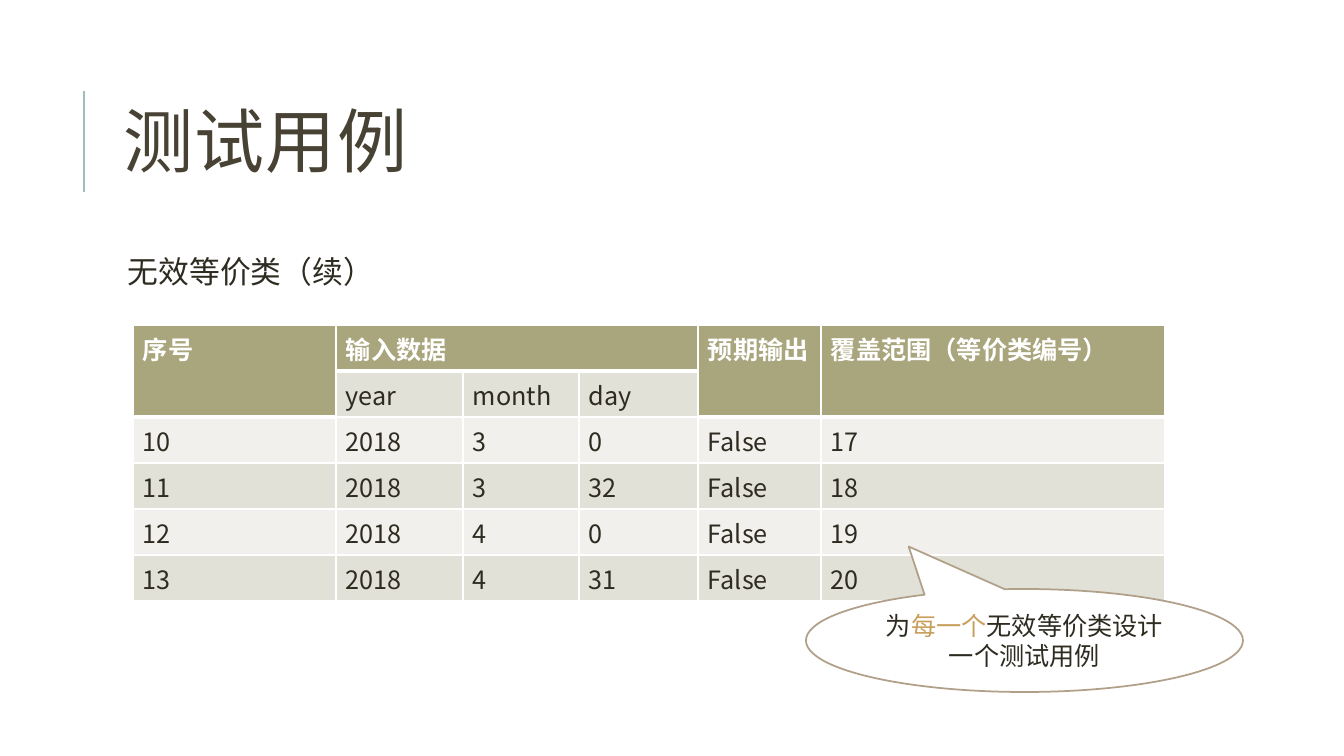
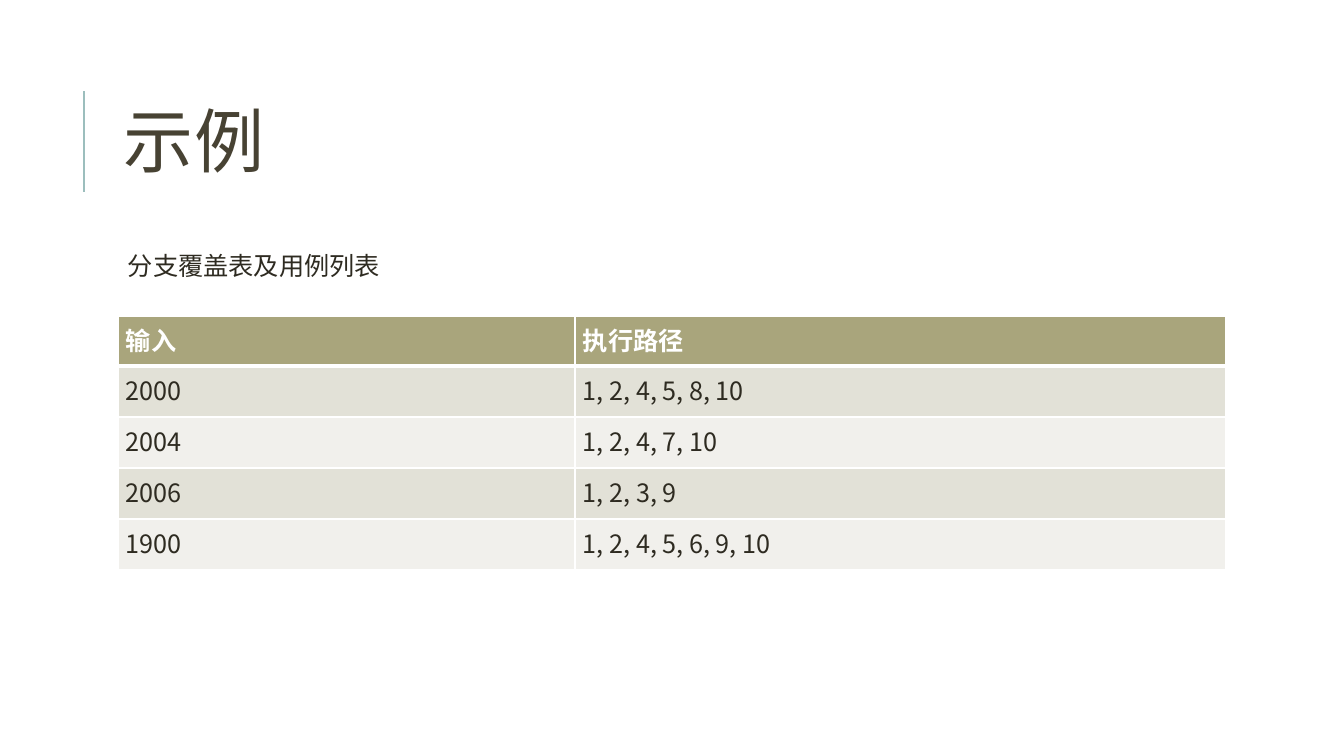
"""Builds two slides on software test cases, each with a title, a subheading and a table."""
from lxml.etree import SubElement
from pptx import Presentation
from pptx.dml.color import RGBColor
from pptx.enum.shapes import MSO_CONNECTOR, MSO_SHAPE
from pptx.enum.text import MSO_ANCHOR, MSO_AUTO_SIZE, PP_ALIGN
from pptx.oxml import parse_xml
from pptx.oxml.ns import nsdecls, qn
from pptx.util import Pt

FONT = "Noto Sans CJK SC"
COLORS = {
    "title": "474233", "text": "2E2B21", "white": "FFFFFF", "rule": "9CBEBD",
    "head": "A9A57C", "dark_band": "E2E1D7", "light_band": "F1F0EC",
    "callout": "B1A089", "emphasis": "C89F5D",
}
RGB = {name: RGBColor.from_string(value) for name, value in COLORS.items()}


def px(*lengths):
    return [round(length * 914400 / 100.8) for length in lengths]


def style(paragraph, size, color, bold=False):
    font = paragraph.font
    font.name, font.size, font.bold = FONT, Pt(size), bold
    font.color.rgb = RGB[color]
    SubElement(font._element, qn("a:ea")).set("typeface", FONT)
    return font


topics = [
    {
        "title": "测试用例",
        "subheading": "无效等价类（续）",
        "subheading_box": (113, 252, 1072, 444),
        "subheading_size": 22,
        "subheading_margins": (15, 5),
        "line_spacing": 0.9,
        "wrap": True,
        "origin": (133, 325),
        "columns": (203, 127, 116, 119, 123, 344),
        "rows": (46,) * 6,
        "cell_margin": 10,
        "merges": [((0, 0), (1, 0)), ((0, 1), (0, 3)), ((0, 4), (1, 4)), ((0, 5), (1, 5))],
        "cells": [
            ("序号", "输入数据", None, None, "预期输出", "覆盖范围（等价类编号）"),
            (None, "year", "month", "day", None, None),
            ("10", "2018", "3", "0", "False", "17"),
            ("11", "2018", "3", "32", "False", "18"),
            ("12", "2018", "4", "0", "False", "19"),
            ("13", "2018", "4", "31", "False", "20"),
        ],
    },
    {
        "title": "示例",
        "subheading": "分支覆盖表及用例列表",
        "subheading_box": (118, 245, 275, 40),
        "subheading_size": 18,
        "subheading_margins": (10, 5),
        "line_spacing": 1.0,
        "wrap": False,
        "origin": (118, 316),
        "columns": (457, 651),
        "rows": (50, 51, 51, 51, 51),
        "cell_margin": 8,
        "merges": [],
        "cells": [
            ("输入", "执行路径"),
            ("2000", "1, 2, 4, 5, 8, 10"),
            ("2004", "1, 2, 4, 7, 10"),
            ("2006", "1, 2, 3, 9"),
            ("1900", "1, 2, 4, 5, 6, 9, 10"),
        ],
    },
]

prs = Presentation()
prs.slide_width, prs.slide_height = px(1344, 756)

for topic in topics:
    slide = prs.slides.add_slide(prs.slide_layouts[5])

    title = slide.shapes.title
    title.left, title.top, title.width, title.height = px(113, 65, 1072, 165)
    title.text_frame.text = topic["title"]
    title.text_frame.vertical_anchor = MSO_ANCHOR.MIDDLE
    title.text_frame.auto_size = MSO_AUTO_SIZE.NONE
    heading = title.text_frame.paragraphs[0]
    heading.alignment = PP_ALIGN.LEFT
    heading.line_spacing = 0.8
    style(heading, 50, "title")._element.set("spc", "100")

    rule = slide.shapes.add_connector(MSO_CONNECTOR.STRAIGHT, *px(84, 192, 84, 91))
    rule.line.color.rgb = RGB["rule"]
    rule.line.width = Pt(1.5)
    SubElement(rule._element.spPr, qn("a:effectLst"))

    subheading = slide.shapes.add_textbox(*px(*topic["subheading_box"])).text_frame
    subheading.word_wrap = topic["wrap"]
    subheading.margin_left, subheading.margin_top = px(*topic["subheading_margins"])
    subheading.text = topic["subheading"]
    subheading.paragraphs[0].line_spacing = topic["line_spacing"]
    style(subheading.paragraphs[0], topic["subheading_size"], "text")

    columns, rows = topic["columns"], topic["rows"]
    table = slide.shapes.add_table(
        len(rows), len(columns), *px(*topic["origin"], sum(columns), sum(rows))).table
    table.horz_banding = False
    for column, width in zip(table.columns, px(*columns)):
        column.width = width
    for row, height in zip(table.rows, px(*rows)):
        row.height = height
    for first, last in topic["merges"]:
        table.cell(*first).merge(table.cell(*last))

    for row_index, values in enumerate(topic["cells"]):
        for column_index, value in enumerate(values):
            cell = table.cell(row_index, column_index)
            is_head = row_index == 0 or value is None
            band = "dark_band" if row_index % 2 else "light_band"
            cell.margin_left, cell.margin_right = px(topic["cell_margin"]) * 2
            cell.fill.solid()
            cell.fill.fore_color.rgb = RGB["head" if is_head else band]
            for position, side in enumerate("LRTB"):
                width = Pt(3 if is_head and side == "B" else 1)
                cell._tc.tcPr.insert(position, parse_xml(
                    f'<a:ln{side} {nsdecls("a")} w="{width}"><a:solidFill>'
                    f'<a:srgbClr val="{COLORS["white"]}"/></a:solidFill></a:ln{side}>'))
            if value is not None:
                cell.text = value
                style(cell.text_frame.paragraphs[0], 18, "white" if is_head else "text", is_head)

callout = prs.slides[0].shapes.add_shape(
    MSO_SHAPE.OVAL_CALLOUT, *px(806, 589, 437, 103))
callout.adjustments[0], callout.adjustments[1] = -0.265, -0.913
callout.shadow.inherit = False
callout.fill.solid()
callout.fill.fore_color.rgb = RGB["white"]
callout.line.color.rgb = RGB["callout"]
callout.line.width = Pt(1.25)
callout.text_frame.word_wrap = True
callout.text_frame.vertical_anchor = MSO_ANCHOR.MIDDLE
advice = callout.text_frame.paragraphs[0]
advice.alignment = PP_ALIGN.CENTER
style(advice, 18, "text")
for words, color in (("为", "text"), ("每一个", "emphasis"), ("无效等价类设计一个测试用例", "text")):
    run = advice.add_run()
    run.text = words
    run.font.color.rgb = RGB[color]

prs.save("out.pptx")
